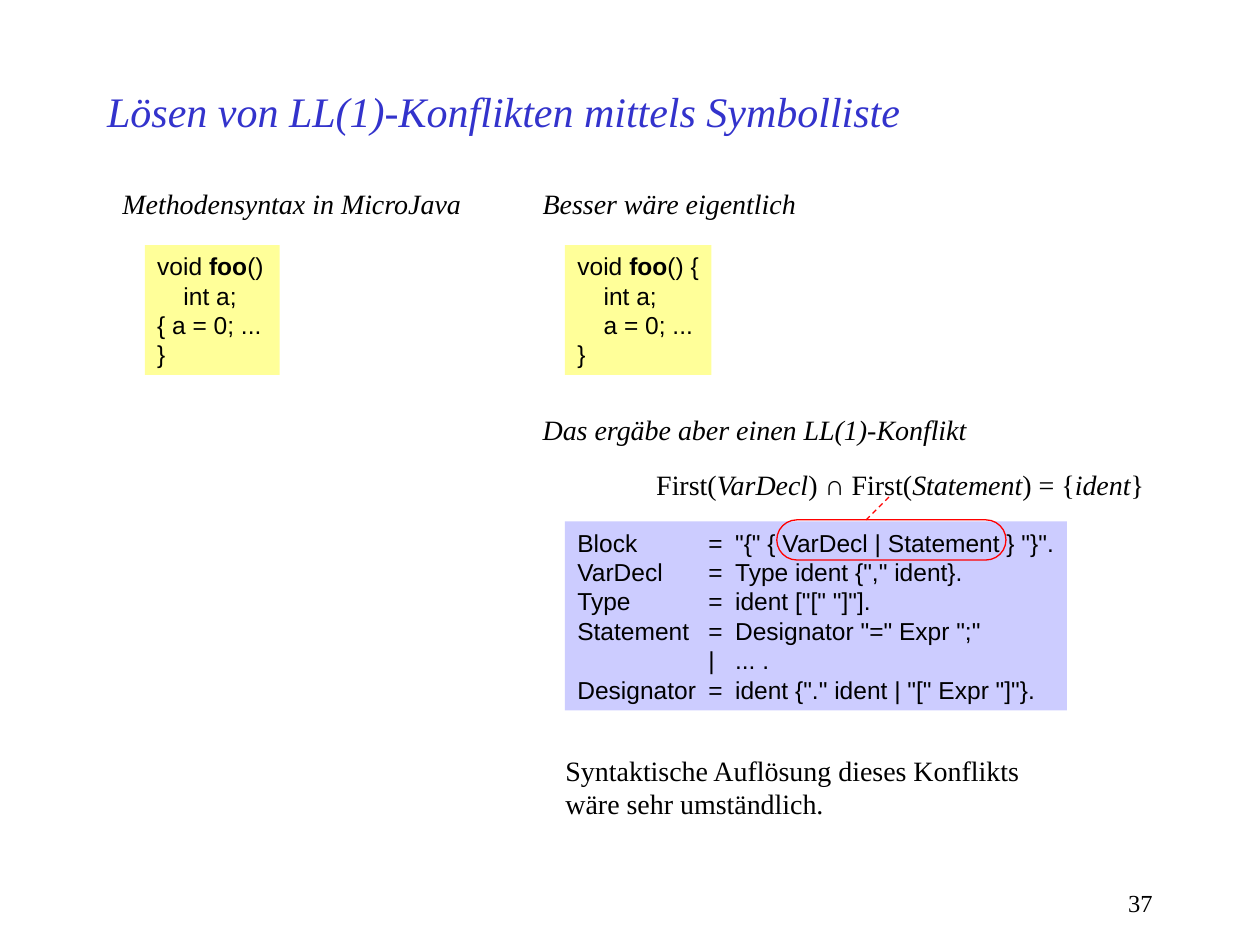
import pptx
import pptx.util
import pptx.dml.color
import pptx.enum.dml
import pptx.enum.shapes
import pptx.enum.text
from lxml import etree

Cm = pptx.util.Cm
Pt = pptx.util.Pt
ALIGN = pptx.enum.text.PP_ALIGN
ANCHOR = pptx.enum.text.MSO_ANCHOR
SHAPES = pptx.enum.shapes.MSO_SHAPE
NAMESPACE = "{http://schemas.openxmlformats.org/drawingml/2006/main}"

THEME = {
    "yellow": "FFFF99",
    "lilac": "CCCCFF",
    "red": "FF0000",
    "line": 0.75,
    "title": {"name": "Times New Roman", "size": 24, "color": "3333CC", "italic": True},
    "heading": {"name": "Times New Roman", "size": 16, "color": "000000", "italic": True},
    "body": {"name": "Times New Roman", "size": 16, "color": "000000"},
    "code": {"name": "Arial", "size": 14, "color": "000000"},
    "number": {"name": "Times New Roman", "size": 14, "color": "000000"},
}

ITALIC = {"italic": True}
BOLD = {"bold": True}

TITLE = "Lösen von LL(1)-Konflikten mittels Symbolliste"
PAGE_NUMBER = "37"
EXAMPLES = [
    {
        "left": 2.22, "heading": "Methodensyntax in MicroJava",
        "heading_width": 7.39, "code_width": 2.72,
        "code": [["void ", ("foo", BOLD), "()"], ["\tint a;"], ["{ a = 0; ..."], ["}"]],
    },
    {
        "left": 10.69, "heading": "Besser wäre eigentlich",
        "heading_width": 5.66, "code_width": 2.95,
        "code": [["void ", ("foo", BOLD), "() {"], ["\tint a;"], ["\ta = 0; ..."], ["}"]],
    },
]
CONFLICT = "Das ergäbe aber einen LL(1)-Konflikt"
GRAMMAR = [
    ("Block", "=", '"{" { VarDecl | Statement } "}".'),
    ("VarDecl", "=", 'Type ident {"," ident}.'),
    ("Type", "=", 'ident ["[" "]"].'),
    ("Statement", "=", 'Designator "=" Expr ";"'),
    ("", "|", "... ."),
    ("Designator", "=", 'ident {"." ident | "[" Expr "]"}.'),
]
FIRST_SETS = ["First(", ("VarDecl", ITALIC), ") ∩ First(", ("Statement", ITALIC),
              ") = {", ("ident", ITALIC), "}"]
CONCLUSION = [["Syntaktische Auflösung dieses Konflikts"], ["wäre sehr umständlich."]]

HEADING_TOP, HEADING_HEIGHT = 3.63, 0.94
CODE_TOP, CODE_HEIGHT, CODE_INDENT = 4.94, 2.62, 0.7
CODE_TABS = [0.53]
GRAMMAR_TABS = [2.64, 3.18]
TEXT_MARGIN = 0.25


def rgb(value):
    return pptx.dml.color.RGBColor.from_string(value)


def apply_font(font, values):
    for name, value in values.items():
        if name == "color":
            font.color.rgb = rgb(value)
        else:
            setattr(font, name, Pt(value) if name == "size" else value)


def add_tabs(paragraph, stops):
    properties = paragraph._p.get_or_add_pPr()
    tab_list = etree.SubElement(properties, NAMESPACE + "tabLst")
    for stop in stops:
        etree.SubElement(tab_list, NAMESPACE + "tab", pos=str(int(Cm(stop))), algn="l")


def add_text(slide, box, lines, style, fill=None, tabs=(), align=ALIGN.LEFT,
             anchor=ANCHOR.TOP, grow=True, margin_right=TEXT_MARGIN):
    position = [Cm(value) for value in box]
    if fill:
        shape = slide.shapes.add_shape(SHAPES.RECTANGLE, *position)
        shape.shadow.inherit = False
        shape.fill.solid()
        shape.fill.fore_color.rgb = rgb(THEME[fill])
        shape.line.fill.background()
    else:
        shape = slide.shapes.add_textbox(*position)
    frame = shape.text_frame
    sizing = pptx.enum.text.MSO_AUTO_SIZE
    frame_format = {
        "word_wrap": not grow,
        "auto_size": sizing.SHAPE_TO_FIT_TEXT if grow else sizing.NONE,
        "vertical_anchor": anchor,
        "margin_right": Cm(margin_right),
    }
    for name, value in frame_format.items():
        setattr(frame, name, value)
    for index, line in enumerate(lines):
        paragraph = frame.add_paragraph() if index else frame.paragraphs[0]
        paragraph.alignment = align
        if tabs:
            add_tabs(paragraph, tabs)
        for part in line:
            text, extra = (part, {}) if isinstance(part, str) else part
            run = paragraph.add_run()
            run.text = text
            apply_font(run.font, {**THEME[style], **extra})
    return shape


def outline(line):
    line.color.rgb = rgb(THEME["red"])
    line.width = Pt(THEME["line"])


def add_highlight(slide, box):
    highlight = slide.shapes.add_shape(SHAPES.ROUNDED_RECTANGLE, *[Cm(value) for value in box])
    highlight.adjustments[0] = 0.5
    highlight.shadow.inherit = False
    highlight.fill.background()
    outline(highlight.line)


def add_dashed_line(slide, points):
    connector = slide.shapes.add_connector(
        pptx.enum.shapes.MSO_CONNECTOR.STRAIGHT, *[Cm(value) for value in points])
    outline(connector.line)
    connector.line.dash_style = pptx.enum.dml.MSO_LINE.DASH
    etree.SubElement(connector._element.spPr, NAMESPACE + "effectLst")


def main():
    presentation = pptx.Presentation()
    presentation.slide_width = Cm(25.4)
    presentation.slide_height = Cm(19.05)
    slide = presentation.slides.add_slide(presentation.slide_layouts[6])

    add_text(slide, (18.21, 17.78, 5.28, 0.84), [[PAGE_NUMBER]], "number",
             align=ALIGN.RIGHT, grow=False)
    add_text(slide, (1.91, 1.28, 19.05, 1.91), [[TITLE]], "title",
             anchor=ANCHOR.MIDDLE, grow=False)

    for example in EXAMPLES:
        left = example["left"]
        add_text(slide, (left, HEADING_TOP, example["heading_width"], HEADING_HEIGHT),
                 [[example["heading"]]], "heading")
        add_text(slide, (left + CODE_INDENT, CODE_TOP, example["code_width"], CODE_HEIGHT),
                 example["code"], "code", fill="yellow", tabs=CODE_TABS)

    right = EXAMPLES[1]["left"]
    add_text(slide, (right, 8.19, 9.12, HEADING_HEIGHT), [[CONFLICT]], "heading")
    add_text(slide, (right + CODE_INDENT, 10.51, 10.12, 3.81),
             [["\t".join(rule)] for rule in GRAMMAR], "code", fill="lilac",
             tabs=GRAMMAR_TABS, grow=False, margin_right=0)
    add_highlight(slide, (15.66, 10.48, 4.62, 0.81))
    add_text(slide, (12.98, 9.3, 10.46, HEADING_HEIGHT), [FIRST_SETS], "body")
    add_dashed_line(slide, (17.46, 10.48, 17.93, 10.01))
    add_text(slide, (11.15, 15.06, 9.73, 1.63), CONCLUSION, "body")

    presentation.save("out.pptx")


if __name__ == "__main__":
    main()
